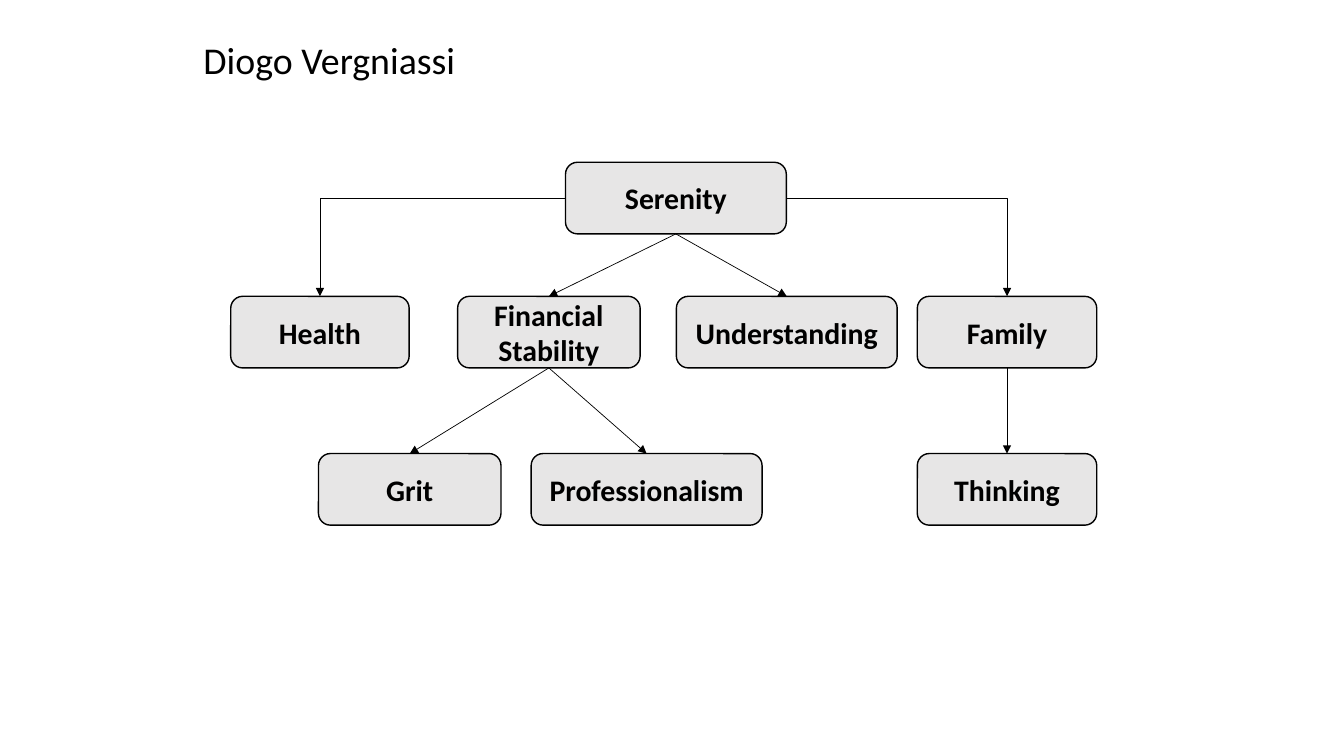
from dataclasses import dataclass

import pptx
import pptx.dml.color
import pptx.enum.shapes
import pptx.enum.text
import pptx.oxml
import pptx.oxml.ns
import pptx.util
from pptx.presentation import Presentation
from pptx.shapes.autoshape import Shape
from pptx.slide import Slide

SLIDE_WIDTH = pptx.util.Inches(13.33)
SLIDE_HEIGHT = pptx.util.Inches(7.5)
COLOURS = {"ink": "000000", "card": "E7E6E6"}
ROW_TOPS = (21.47, 39.2, 60)
CARD_HEIGHT = 9.47
TOP, LEFT, BOTTOM, RIGHT = range(4)
VALUE_FONT = {"name": "Calibri", "size": pptx.util.Pt(21.3), "bold": True}
AUTHOR_FONT = {"name": "Calibri", "size": pptx.util.Pt(27), "bold": False}


@dataclass(frozen=True)
class Value:
    label: str
    row: int
    centre: float
    width: float


@dataclass(frozen=True)
class Link:
    parent: str
    child: str
    side: int = BOTTOM


VALUES = (
    Value("Serenity", 0, 50.29, 16.43),
    Value("Health", 1, 23.81, 13.28),
    Value("Financial Stability", 1, 40.84, 13.58),
    Value("Understanding", 1, 58.54, 16.43),
    Value("Family", 1, 74.93, 13.35),
    Value("Grit", 2, 30.49, 13.58),
    Value("Professionalism", 2, 48.11, 17.18),
    Value("Thinking", 2, 74.93, 13.35),
)
LINKS = (
    Link("Serenity", "Health", LEFT),
    Link("Serenity", "Financial Stability"),
    Link("Serenity", "Understanding"),
    Link("Serenity", "Family", RIGHT),
    Link("Financial Stability", "Grit"),
    Link("Financial Stability", "Professionalism"),
    Link("Family", "Thinking"),
)


def across(percent: float) -> int:
    return round(SLIDE_WIDTH * percent / 100)


def down(percent: float) -> int:
    return round(SLIDE_HEIGHT * percent / 100)


def colour(name: str) -> pptx.dml.color.RGBColor:
    return pptx.dml.color.RGBColor.from_string(COLOURS[name])


def write(shape: Shape, text: str, font: dict, alignment: pptx.enum.text.PP_ALIGN) -> None:
    frame = shape.text_frame
    frame.word_wrap = True
    frame.vertical_anchor = pptx.enum.text.MSO_ANCHOR.MIDDLE
    line = frame.paragraphs[0]
    line.alignment = alignment
    run = line.add_run()
    run.text = text
    for attribute, setting in font.items():
        setattr(run.font, attribute, setting)
    run.font.color.rgb = colour("ink")


def draw_value(slide: Slide, value: Value) -> Shape:
    card = slide.shapes.add_shape(
        pptx.enum.shapes.MSO_SHAPE.ROUNDED_RECTANGLE,
        across(value.centre - value.width / 2), down(ROW_TOPS[value.row]),
        across(value.width), down(CARD_HEIGHT),
    )
    card.shadow.inherit = False
    card.fill.solid()
    card.fill.fore_color.rgb = colour("card")
    card.line.color.rgb = colour("ink")
    card.line.width = pptx.util.Pt(1)
    write(card, value.label, VALUE_FONT, pptx.enum.text.PP_ALIGN.CENTER)
    return card


def draw_link(slide: Slide, link: Link, cards: dict[str, Shape]) -> None:
    kinds = pptx.enum.shapes.MSO_CONNECTOR
    straight = link.side == BOTTOM
    arrow = slide.shapes.add_connector(kinds.STRAIGHT if straight else kinds.ELBOW, 0, 0, 0, 0)
    arrow.begin_connect(cards[link.parent], link.side)
    arrow.end_connect(cards[link.child], TOP)
    arrow.line.color.rgb = colour("ink")
    arrow.line.width = pptx.util.Pt(0.5)
    properties = arrow._element.spPr
    if not straight:
        properties.find(pptx.oxml.ns.qn("a:prstGeom")).set("prst", "bentConnector2")
    head = pptx.oxml.parse_xml(f'<a:tailEnd {pptx.oxml.ns.nsdecls("a")} type="triangle"/>')
    properties.find(pptx.oxml.ns.qn("a:ln")).append(head)
    properties.append(pptx.oxml.parse_xml(f'<a:effectLst {pptx.oxml.ns.nsdecls("a")}/>'))


def main() -> None:
    deck: Presentation = pptx.Presentation()
    deck.slide_width = SLIDE_WIDTH
    deck.slide_height = SLIDE_HEIGHT
    slide = deck.slides.add_slide(deck.slide_layouts[6])
    author = slide.shapes.add_textbox(across(14.4), down(4.27), across(58.95), down(7.07))
    write(author, "Diogo Vergniassi", AUTHOR_FONT, pptx.enum.text.PP_ALIGN.LEFT)
    cards = {value.label: draw_value(slide, value) for value in VALUES}
    for link in LINKS:
        draw_link(slide, link, cards)
    deck.save("out.pptx")


if __name__ == "__main__":
    main()
